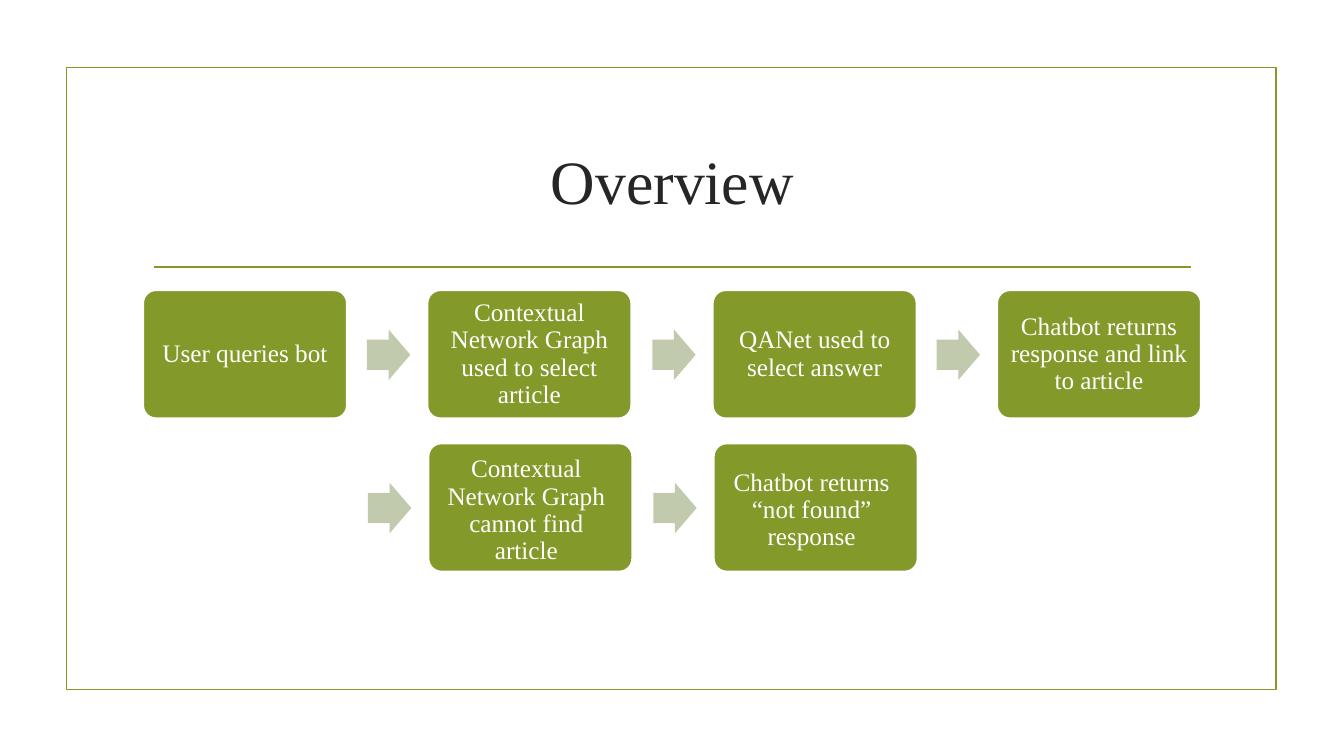
from pptx import Presentation
from pptx import util as u
from pptx.dml import color
from pptx.enum import shapes, text
from lxml import etree

PX = 9144
GREEN, SAGE, WHITE, INK = "83992A", "C1CAAD", "FFFFFF", "262626"
FONT = "Times New Roman"
COLUMN_LEFT, COLUMN_COUNT, COLUMN_SPAN = 142, 4, 847
STEP_SIZE, ARROW_SIZE = (202, 127), (43, 50)
ARROW_GAP, ARROW_DROP = 60, 39
MARGINS = ("margin_left", "margin_top", "margin_right", "margin_bottom")
FLOWS = [
    {
        "first_column": 0, "top": 288, "shift": 0, "insets": (7, 7, 7, 7),
        "steps": [
            "User queries bot",
            "Contextual Network Graph used to select article",
            "QANet used to select answer",
            "Chatbot returns response and link to article",
        ],
    },
    {
        "first_column": 1, "top": 440, "shift": 1, "insets": (3, 10, 11, 4),
        "steps": [
            "Contextual Network Graph cannot find article",
            "Chatbot returns “not found” response",
        ],
    },
]


def px(length):
    return u.Emu(length * PX)


def rgb(value):
    return color.RGBColor.from_string(value)


def set_values(target, values):
    for name, value in values.items():
        setattr(target, name, value)


def set_line(line, value):
    line.color.rgb = rgb(value)
    line.width = u.Pt(1.25)


def write(shape, wording, size, value, insets, spacing):
    frame = shape.text_frame
    set_values(frame, {"word_wrap": True, "vertical_anchor": text.MSO_ANCHOR.MIDDLE})
    set_values(frame, dict(zip(MARGINS, map(px, insets))))
    paragraph = frame.paragraphs[0]
    set_values(paragraph, {"alignment": text.PP_ALIGN.CENTER, "line_spacing": spacing})
    run = paragraph.add_run()
    run.text = wording
    set_values(run.font, {"name": FONT, "size": u.Pt(size)})
    run.font.color.rgb = rgb(value)


def add_shape(slide, kind, box, fill=None, line=None, adjustments=()):
    shape = slide.shapes.add_shape(kind, *map(px, box))
    shape.shadow.inherit = False
    for index, value in enumerate(adjustments):
        shape.adjustments[index] = value
    if fill:
        shape.fill.solid()
        shape.fill.fore_color.rgb = rgb(fill)
    else:
        shape.fill.background()
    if line:
        set_line(shape.line, line)
    else:
        shape.line.fill.background()
    return shape


def add_rule(slide, left, right, top):
    rule = slide.shapes.add_connector(
        shapes.MSO_CONNECTOR.STRAIGHT, px(left), px(top), px(right), px(top))
    set_line(rule.line, GREEN)
    properties = rule.line._get_or_add_ln().getparent()
    namespace = etree.QName(properties[0]).namespace
    etree.SubElement(properties, f"{{{namespace}}}effectLst")


def add_title(slide, wording):
    title = slide.shapes.add_textbox(*map(px, (142, 107, 1050, 143)))
    write(title, wording, 44, INK, (10, 5, 10, 5), 1.0)


def add_step(slide, left, top, wording, insets):
    step = add_shape(slide, shapes.MSO_SHAPE.ROUNDED_RECTANGLE,
                     (left, top, *STEP_SIZE), GREEN, WHITE, [0.1])
    write(step, wording, 18, WHITE, insets, 0.9)


def add_arrow(slide, left, top):
    add_shape(slide, shapes.MSO_SHAPE.RIGHT_ARROW,
              (left, top, *ARROW_SIZE), SAGE, adjustments=[0.6, 0.5])


def add_flow(slide, first_column, top, shift, insets, steps):
    for column, wording in enumerate(steps, first_column):
        left = COLUMN_LEFT + round(column * COLUMN_SPAN / (COLUMN_COUNT - 1)) + shift
        if column > 0:
            add_arrow(slide, left - ARROW_GAP, top + ARROW_DROP)
        add_step(slide, left, top, wording, insets)


def main():
    presentation = Presentation()
    set_values(presentation, {"slide_width": px(1333), "slide_height": px(750)})
    slide = presentation.slides.add_slide(presentation.slide_layouts[6])
    add_shape(slide, shapes.MSO_SHAPE.RECTANGLE, (66, 67, 1200, 617), line=GREEN)
    add_rule(slide, 153, 1181, 265)
    add_title(slide, "Overview")
    for flow in FLOWS:
        add_flow(slide, **flow)
    presentation.save("out.pptx")


if __name__ == "__main__":
    main()
